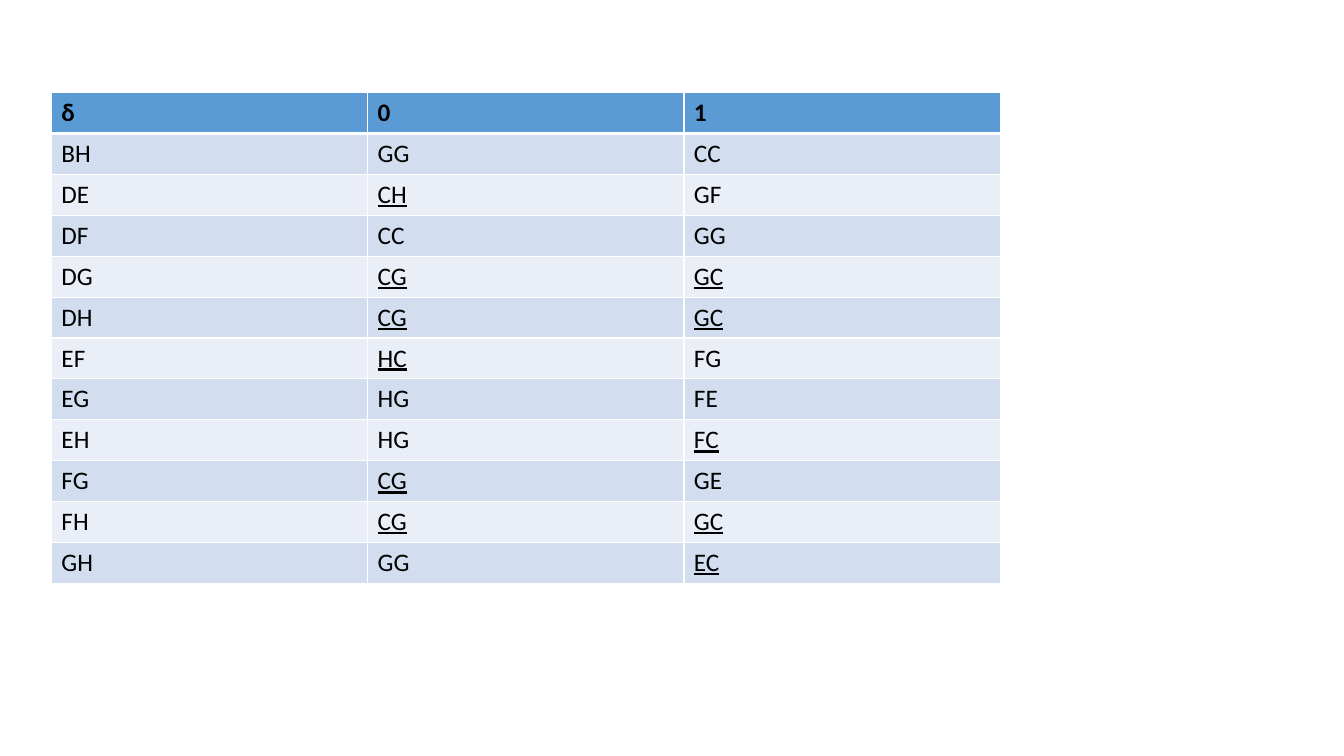
from lxml.etree import SubElement
from pptx import Presentation
from pptx.dml.color import RGBColor
from pptx.oxml.ns import qn
from pptx.util import Inches, Pt

COLORS = {
    "header": "5B9BD5",
    "odd_row": "D2DEEF",
    "even_row": "EAEFF7",
    "border": "FFFFFF",
    "text": "000000",
}

# Header row, then one row of letter pairs each
DELTA_ROWS = [
    ("δ", "0", "1"),
    ("BH", "GG", "CC"),
    ("DE", "CH", "GF"),
    ("DF", "CC", "GG"),
    ("DG", "CG", "GC"),
    ("DH", "CG", "GC"),
    ("EF", "HC", "FG"),
    ("EG", "HG", "FE"),
    ("EH", "HG", "FC"),
    ("FG", "CG", "GE"),
    ("FH", "CG", "GC"),
    ("GH", "GG", "EC"),
]


def add_borders(cell, top, bottom):
    """Draw the four cell borders, with top and bottom widths in points."""
    properties = cell._tc.get_or_add_tcPr()
    for side, width in (("L", 1), ("R", 1), ("T", top), ("B", bottom)):
        border = SubElement(properties, qn(f"a:ln{side}"), w=str(Pt(width)))
        fill = SubElement(border, qn("a:solidFill"))
        SubElement(fill, qn("a:srgbClr"), val=COLORS["border"])


def format_cell(cell, pair, row):
    # Borders come before the fill in the cell properties
    add_borders(cell, top=3 if row == 1 else 1, bottom=3 if row == 0 else 1)
    band = "header" if row == 0 else "odd_row" if row % 2 else "even_row"
    cell.fill.solid()
    cell.fill.fore_color.rgb = RGBColor.from_string(COLORS[band])

    cell.text = pair
    font = cell.text_frame.paragraphs[0].font
    font.name = "Calibri"
    font.size = Pt(18)
    font.bold = row == 0
    # Underline pairs with exactly one C
    font.underline = pair.count("C") == 1
    font.color.rgb = RGBColor.from_string(COLORS["text"])


def add_delta_table(slide):
    row_count, column_count = len(DELTA_ROWS), len(DELTA_ROWS[0])
    delta = slide.shapes.add_table(
        row_count, column_count, Inches(0.51), Inches(0.92),
        Inches(9.41), Inches(0.4 * row_count),
    ).table
    for row, pairs in enumerate(DELTA_ROWS):
        for column, pair in enumerate(pairs):
            format_cell(delta.cell(row, column), pair, row)


def main():
    presentation = Presentation()
    presentation.slide_width = Inches(13.33)
    presentation.slide_height = Inches(7.5)
    slide = presentation.slides.add_slide(presentation.slide_layouts[6])
    add_delta_table(slide)
    presentation.save("out.pptx")


if __name__ == "__main__":
    main()
